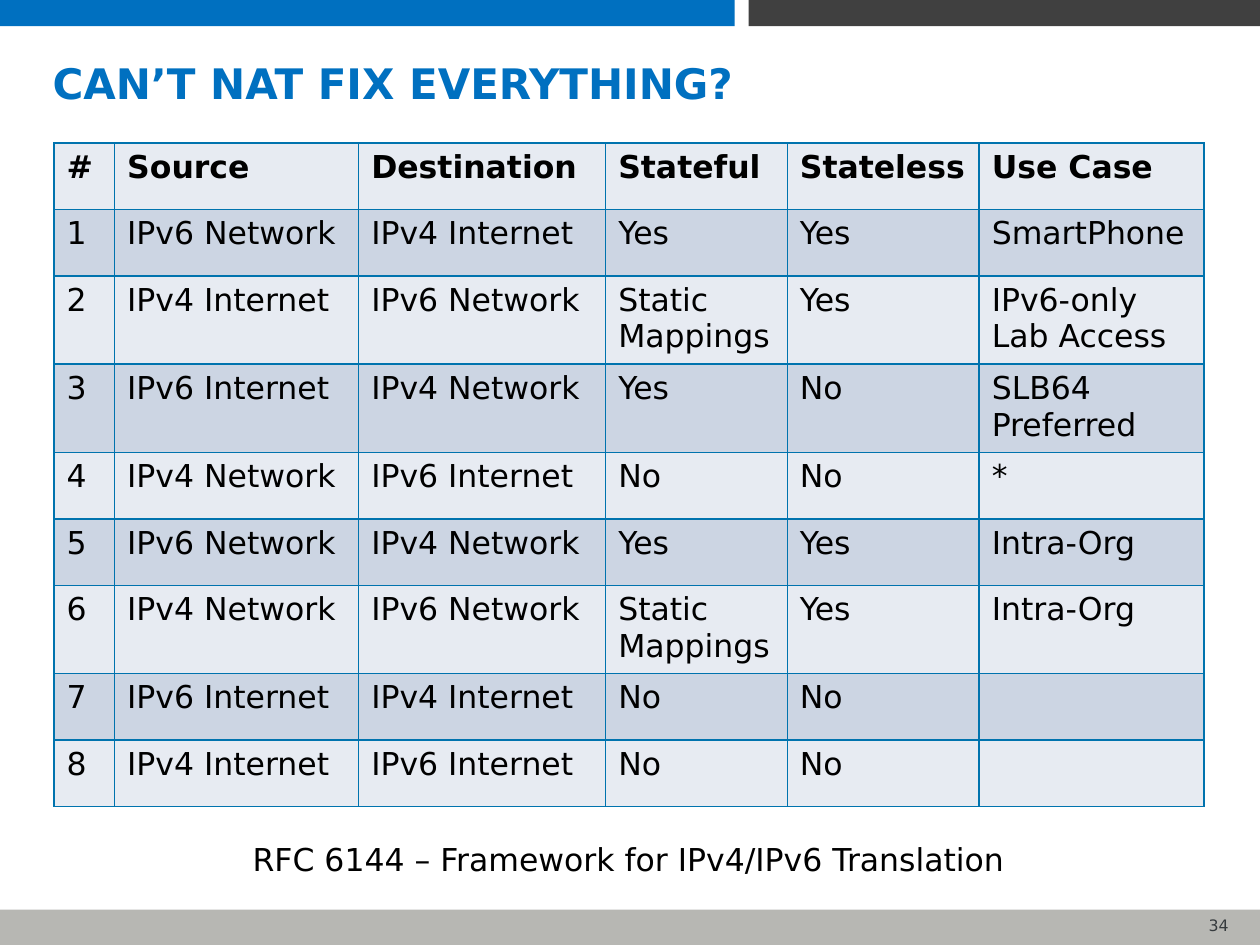
"""Build the slide on NAT translation scenarios between IPv4 and IPv6."""
from lxml import etree
from pptx import Presentation
from pptx import util as u
from pptx.dml import color
from pptx.enum import shapes, text
from pptx.oxml import ns

FONT = "DejaVu Sans"
COLORS = {
    "blue": "0070C0", "dark": "404040", "footer": "B7B7B3", "number": "363B3E",
    "text": "000000", "border": "0073AE", "light_row": "E7EBF2", "dark_row": "CCD5E3",
}


def add_run(paragraph, words, size, color_name="text", bold=False):
    run = paragraph.add_run()
    run.text = words
    run.font.name = FONT
    run.font.size = u.Pt(size)
    run.font.bold = bold
    run.font.color.rgb = color.RGBColor.from_string(COLORS[color_name])


def add_border(cell, side):
    line = etree.SubElement(cell._tc.get_or_add_tcPr(), ns.qn(f"a:ln{side}"), w=str(u.Pt(1)))
    fill = etree.SubElement(line, ns.qn("a:solidFill"))
    etree.SubElement(fill, ns.qn("a:srgbClr"), val=COLORS["border"])


presentation = Presentation()
presentation.slide_width = u.Cm(25.4)
presentation.slide_height = u.Cm(19.05)
slide = presentation.slides.add_slide(presentation.slide_layouts[6])

bars = [
    (0, 18.34, 25.4, 0.71, "footer"),
    (0, 0, 14.81, 0.53, "blue"),
    (15.09, 0, 10.31, 0.53, "dark"),
]
for left, top, width, height, color_name in bars:
    bar = slide.shapes.add_shape(
        shapes.MSO_SHAPE.RECTANGLE, u.Cm(left), u.Cm(top), u.Cm(width), u.Cm(height))
    bar.shadow.inherit = False
    bar.fill.solid()
    bar.fill.fore_color.rgb = color.RGBColor.from_string(COLORS[color_name])
    bar.line.fill.background()

left_align, center, right = text.PP_ALIGN.LEFT, text.PP_ALIGN.CENTER, text.PP_ALIGN.RIGHT
top_anchor, middle = text.MSO_ANCHOR.TOP, text.MSO_ANCHOR.MIDDLE
labels = [
    ("34", 23.22, 18.34, 1.8, 0.63, 9, "number", False, right, top_anchor),
    ("CAN’T NAT FIX EVERYTHING?", 0.81, 0.94, 23.29, 1.47, 24, "blue", True, left_align, middle),
    ("RFC 6144 – Framework for IPv4/IPv6 Translation",
     1.09, 16.81, 23.16, 1.02, 18, "text", False, center, top_anchor),
]
for words, left, top, width, height, size, color_name, bold, alignment, anchor in labels:
    box = slide.shapes.add_textbox(u.Cm(left), u.Cm(top), u.Cm(width), u.Cm(height))
    box.text_frame.word_wrap = True
    box.text_frame.vertical_anchor = anchor
    paragraph = box.text_frame.paragraphs[0]
    paragraph.alignment = alignment
    add_run(paragraph, words, size, color_name, bold)

rows = [
    ("#", "Source", "Destination", "Stateful", "Stateless", "Use Case"),
    ("1", "IPv6 Network", "IPv4 Internet", "Yes", "Yes", "SmartPhone"),
    ("2", "IPv4 Internet", "IPv6 Network", "Static Mappings", "Yes", "IPv6-only Lab Access"),
    ("3", "IPv6 Internet", "IPv4 Network", "Yes", "No", "SLB64 Preferred"),
    ("4", "IPv4 Network", "IPv6 Internet", "No", "No", "*"),
    ("5", "IPv6 Network", "IPv4 Network", "Yes", "Yes", "Intra-Org"),
    ("6", "IPv4 Network", "IPv6 Network", "Static Mappings", "Yes", "Intra-Org"),
    ("7", "IPv6 Internet", "IPv4 Internet", "No", "No", ""),
    ("8", "IPv4 Internet", "IPv6 Internet", "No", "No", ""),
]
column_widths = [1.22, 4.92, 4.98, 3.66, 3.87, 4.53]
row_height = 1.34
table = slide.shapes.add_table(
    len(rows), len(column_widths), u.Cm(1.09), u.Cm(2.88),
    u.Cm(sum(column_widths)), u.Cm(row_height * len(rows))).table
for column, width in zip(table.columns, column_widths):
    column.width = u.Cm(width)
for row_index, row in enumerate(rows):
    table.rows[row_index].height = u.Cm(row_height)
    row_color = COLORS["dark_row" if row_index % 2 else "light_row"]
    for column_index, words in enumerate(row):
        cell = table.cell(row_index, column_index)
        for side in "LRTB":
            add_border(cell, side)
        cell.fill.solid()
        cell.fill.fore_color.rgb = color.RGBColor.from_string(row_color)
        if words:
            add_run(cell.text_frame.paragraphs[0], words, 18, bold=row_index == 0)

presentation.save("out.pptx")
